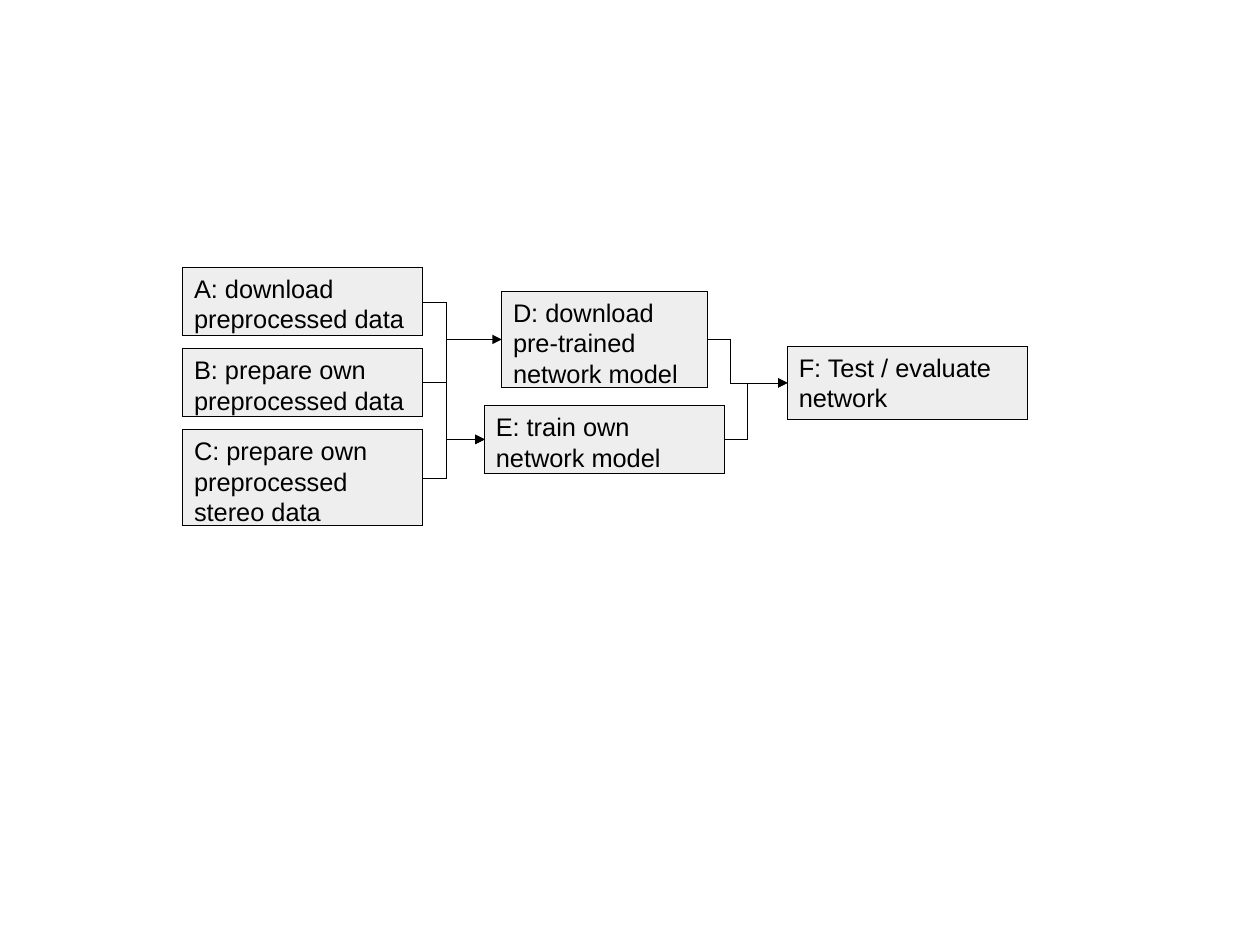
from dataclasses import dataclass

from lxml import etree
from pptx import Presentation
from pptx import util as u
from pptx.dml.color import RGBColor
from pptx.enum import shapes, text
from pptx.oxml import ns

BLACK = RGBColor(0x00, 0x00, 0x00)
LIGHT_GRAY = RGBColor(0xEE, 0xEE, 0xEE)
RIGHT_SIDE, LEFT_SIDE = 3, 1
BEND_DISTANCE = 0.2
CM_PER_INCH = 2.54
HAIRLINE = u.Pt(0.01)


@dataclass(frozen=True)
class Step:
    label: str
    left: float
    top: float
    height: float
    width: float = 2.1

    @property
    def right(self) -> float:
        return self.left + self.width

    @property
    def middle(self) -> float:
        return self.top + self.height / 2


STEPS = {
    "A": Step("A: download preprocessed data", 1.6, 2.34, 0.6),
    "B": Step("B: prepare own preprocessed data", 1.6, 3.05, 0.59),
    "C": Step("C: prepare own preprocessed stereo data", 1.6, 3.76, 0.84),
    "D": Step("D: download pre-trained network model", 4.39, 2.55, 0.84, 1.8),
    "E": Step("E: train own network model", 4.24, 3.55, 0.59),
    "F": Step("F: Test / evaluate network", 6.89, 3.03, 0.64),
}
FLOWS = ["AD", "BE", "CE", "DF", "EF", "AE"]


def write_text(shape, content: str, *, size: int = 16, font: str = "Arial",
               color: RGBColor = BLACK) -> None:
    frame = shape.text_frame
    frame.word_wrap = True
    frame.auto_size = text.MSO_AUTO_SIZE.SHAPE_TO_FIT_TEXT
    frame.vertical_anchor = text.MSO_ANCHOR.TOP
    paragraph = frame.paragraphs[0]
    paragraph.alignment = text.PP_ALIGN.LEFT
    run = paragraph.add_run()
    run.text = content
    run.font.size = u.Pt(size)
    run.font.name = font
    run.font.color.rgb = color


def set_outline(item) -> None:
    item.line.color.rgb = BLACK
    item.line.width = HAIRLINE


def add_step(slide, step: Step):
    shape = slide.shapes.add_shape(
        shapes.MSO_SHAPE.RECTANGLE, u.Inches(step.left), u.Inches(step.top),
        u.Inches(step.width), u.Inches(step.height))
    shape.shadow.inherit = False
    shape.fill.solid()
    shape.fill.fore_color.rgb = LIGHT_GRAY
    set_outline(shape)
    write_text(shape, step.label)
    return shape


def add_flow(slide, boxes: dict, source: str, target: str) -> None:
    start, end = STEPS[source], STEPS[target]
    connector = slide.shapes.add_connector(
        shapes.MSO_CONNECTOR.ELBOW, u.Inches(start.right), u.Inches(start.middle),
        u.Inches(end.left), u.Inches(end.middle))
    connector.begin_connect(boxes[source], RIGHT_SIDE)
    connector.end_connect(boxes[target], LEFT_SIDE)
    set_outline(connector)

    properties = connector._element.spPr
    bend = round(BEND_DISTANCE / (end.left - start.right) * 100000)
    guides = properties.find(".//" + ns.qn("a:avLst"))
    etree.SubElement(guides, ns.qn("a:gd"), name="adj1", fmla=f"val {bend}")
    outline = properties.find(ns.qn("a:ln"))
    etree.SubElement(outline, ns.qn("a:tailEnd"), type="triangle")
    etree.SubElement(properties, ns.qn("a:effectLst"))


def main() -> None:
    presentation = Presentation()
    presentation.slide_width = u.Inches(28 / CM_PER_INCH)
    presentation.slide_height = u.Inches(21 / CM_PER_INCH)
    slide = presentation.slides.add_slide(presentation.slide_layouts[6])
    boxes = {name: add_step(slide, step) for name, step in STEPS.items()}
    for source, target in FLOWS:
        add_flow(slide, boxes, source, target)
    presentation.save("out.pptx")


if __name__ == "__main__":
    main()
